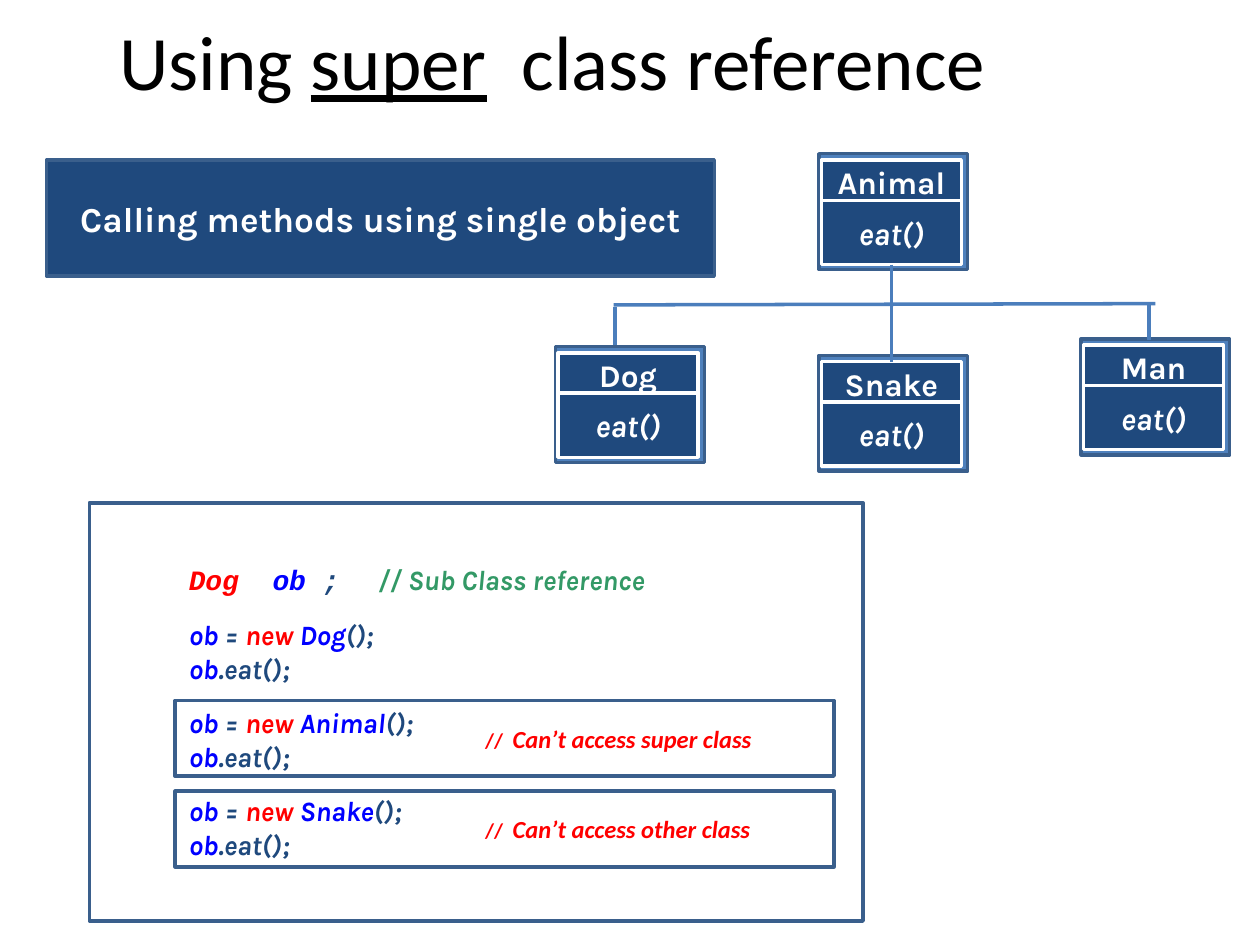
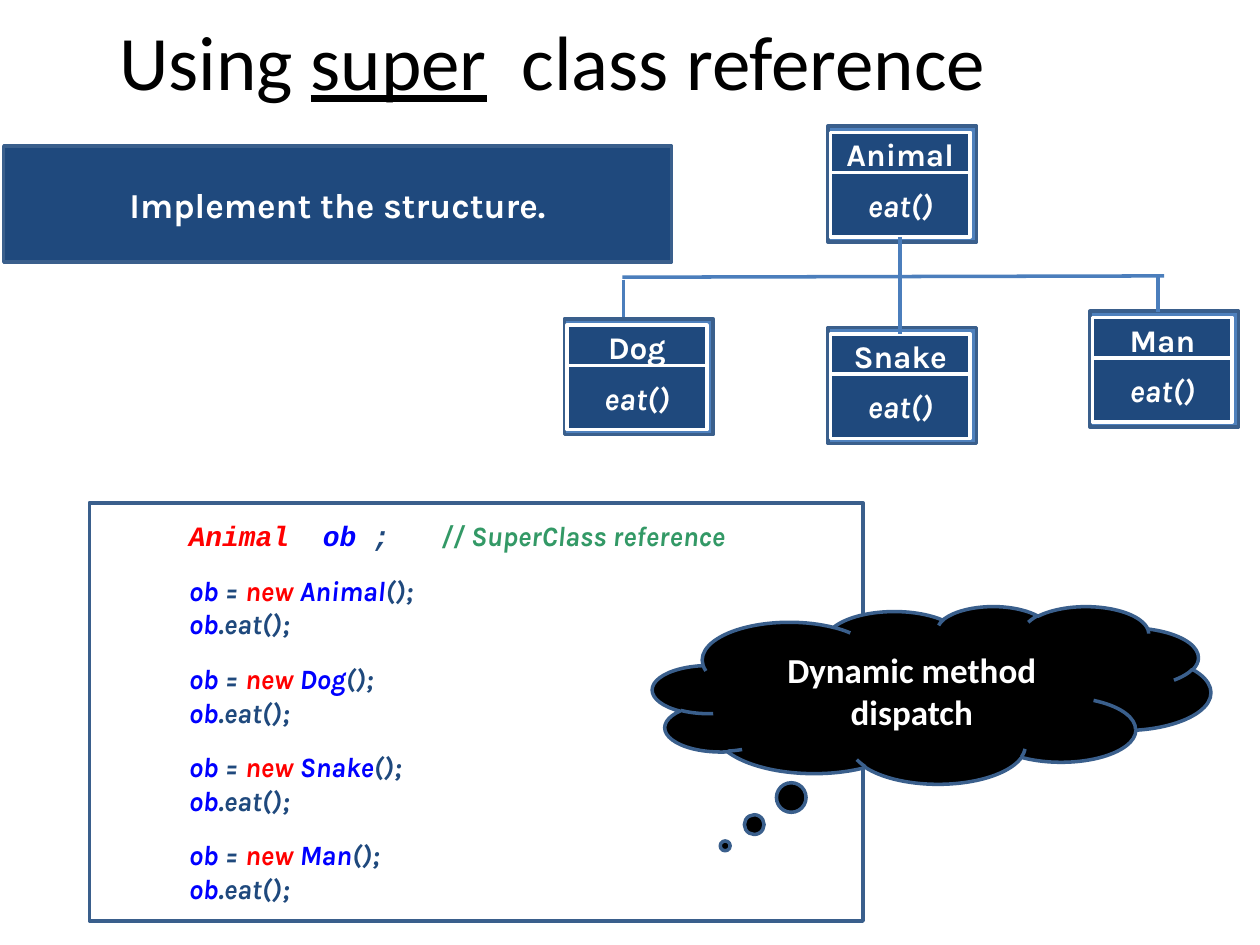
from dataclasses import dataclass
from typing import NamedTuple

from lxml import etree
from pptx import Presentation
from pptx.dml.color import RGBColor
from pptx.enum.shapes import MSO_CONNECTOR, MSO_SHAPE
from pptx.enum.text import MSO_ANCHOR, PP_ALIGN
from pptx.oxml.ns import qn
from pptx.util import Inches, Pt

RECT = MSO_SHAPE.RECTANGLE
CLOUD = MSO_SHAPE.CLOUD_CALLOUT
STRAIGHT = MSO_CONNECTOR.STRAIGHT
CENTER, LEFT = PP_ALIGN.CENTER, PP_ALIGN.LEFT
MIDDLE = MSO_ANCHOR.MIDDLE
TOP_SIDE, BOTTOM_SIDE = 0, 2


@dataclass(frozen=True)
class Theme:
    white: str = "FFFFFF"
    black: str = "000000"
    navy: str = "1F497D"
    frame: str = "4F81BD"
    outline: str = "3A5F8C"
    connector: str = "4B7EBC"
    red: str = "FF0000"
    blue: str = "0000FF"
    green: str = "339966"
    heading_font: str = "Calibri"
    body_font: str = "Karla"
    mono_font: str = "Courier New"
    title_size: int = 44
    banner_size: int = 20
    class_size: int = 18
    code_size: int = 16
    note_size: int = 14
    slash_size: int = 12
    line_width: int = 2


THEME = Theme()


class Box(NamedTuple):
    left: float
    top: float
    width: float
    height: float


class Run(NamedTuple):
    text: str
    size: int
    font: str
    color: str
    bold: bool = True
    italic: bool = False
    underline: bool = False


class Para(NamedTuple):
    runs: list[Run]
    align: PP_ALIGN = CENTER
    before: int = 0
    indent: float = 0
    level: int = 0


class ClassBox(NamedTuple):
    """Class name and its offset from the superclass box."""
    name: str
    dx: float
    dy: float


class Segment(NamedTuple):
    x1: float
    y1: float
    x2: float
    y2: float


TITLE = Box(0, 0, 8.77, 0.95)
CODE_PANEL = Box(0.71, 3.99, 6.14, 3.32)
BANNER_SIZE = (5.3, 0.92)
FRAME_SIZE = (1.18, 0.92)
NOTE_INSETS = (0.24, 0.05, 0.31, 0.05)
CLOUD_INSETS = (0, 0.05, 0, 0.05)

CLASSES = [
    ClassBox("Animal", 0, 0),
    ClassBox("Dog", -2.09, 1.53),
    ClassBox("Snake", 0, 1.6),
    ClassBox("Man", 2.08, 1.47),
]
CROSSBAR = Segment(-1.63, 1.2, 2.67, 1.19)
DOG_DROP = Segment(-1.62, 1.22, -1.62, 1.52)
MAN_DROP = Segment(2.62, 1.18, 2.62, 1.48)


def set_text(sp, paras: list[Para], insets=(0.1, 0.05, 0.1, 0.05)) -> None:
    tf = sp.text_frame
    tf.word_wrap = True
    tf.vertical_anchor = MIDDLE
    for side, inset in zip(("left", "top", "right", "bottom"), insets):
        setattr(tf, f"margin_{side}", Inches(inset))
    for i, para in enumerate(paras):
        p = tf.paragraphs[0] if i == 0 else tf.add_paragraph()
        p.alignment = para.align
        p.level = para.level
        p.space_before = Pt(para.before)
        pPr = p._p.get_or_add_pPr()
        pPr.set("marL", str(Inches(para.indent)))
        pPr.set("indent", "0")
        for run in para.runs:
            r = p.add_run()
            r.text = run.text
            values = {"size": Pt(run.size), "name": run.font, "bold": run.bold,
                      "italic": run.italic, "underline": run.underline}
            for name, value in values.items():
                setattr(r.font, name, value)
            r.font.color.rgb = RGBColor.from_string(run.color)


def add_box(shapes, box: Box, fill: str | None, line: str = THEME.outline,
            kind: MSO_SHAPE = RECT):
    sp = shapes.add_shape(kind, *map(Inches, box))
    sp.shadow.inherit = False
    if fill:
        sp.fill.solid()
        sp.fill.fore_color.rgb = RGBColor.from_string(fill)
    else:
        sp.fill.background()
    sp.line.color.rgb = RGBColor.from_string(line)
    sp.line.width = Pt(THEME.line_width)
    return sp


def add_line(shapes, segment: Segment):
    cxn = shapes.add_connector(STRAIGHT, *map(Inches, segment))
    cxn.line.color.rgb = RGBColor.from_string(THEME.connector)
    cxn.line.width = Pt(THEME.line_width)
    etree.SubElement(cxn._element.spPr, qn("a:effectLst"))
    return cxn


def add_title(slide) -> None:
    words = [("Using ", False), ("super", True), ("  class reference", False)]
    runs = [Run(text, THEME.title_size, THEME.heading_font, THEME.black,
                bold=False, underline=underline) for text, underline in words]
    sp = slide.shapes.add_textbox(*map(Inches, TITLE))
    set_text(sp, [Para(runs)])


def add_class(shapes, name: str, left: float, top: float):
    """Draw one class box; return its name and method cells."""
    add_box(shapes, Box(left, top, *FRAME_SIZE), THEME.frame)
    cells = []
    for text, dy, height, italic in ((name, 0.05, 0.35, False),
                                     ("eat()", 0.37, 0.51, True)):
        sp = add_box(shapes, Box(left + 0.02, top + dy, 1.11, height),
                     THEME.navy, THEME.white)
        set_text(sp, [Para([Run(text, THEME.class_size, THEME.body_font,
                                THEME.white, italic=italic)])])
        cells.append(sp)
    return cells


def add_hierarchy(slide, x: float, y: float) -> None:
    """Draw the class tree with the superclass box at x, y."""
    shapes = slide.shapes.add_group_shape().shapes
    cells = {c.name: add_class(shapes, c.name, x + c.dx, y + c.dy)
             for c in CLASSES}
    for s in (CROSSBAR, DOG_DROP, MAN_DROP):
        add_line(shapes, Segment(x + s.x1, y + s.y1, x + s.x2, y + s.y2))
    trunk = add_line(shapes, Segment(x + 0.57, y + 0.88, x + 0.57, y + 1.65))
    trunk.begin_connect(cells["Animal"][1], BOTTOM_SIDE)
    trunk.end_connect(cells["Snake"][0], TOP_SIDE)


def add_banner(slide, text: str, left: float, top: float) -> None:
    sp = add_box(slide.shapes, Box(left, top, *BANNER_SIZE), THEME.navy)
    set_text(sp, [Para([Run(text, THEME.banner_size, THEME.body_font,
                            THEME.white)])])


def code_line(*tokens: tuple[str, str], font: str = THEME.body_font,
              before: int = 0) -> Para:
    runs = [Run(text, THEME.code_size, font, color, italic=True)
            for text, color in tokens]
    return Para(runs, LEFT, before, indent=0.69, level=1)


def add_code(slide, declared: str, comment: str, created: list[str]) -> None:
    ob = ("ob", THEME.blue)
    declaration = code_line((f"{declared}  ", THEME.red), ob,
                            (" ;\t", THEME.navy), font=THEME.mono_font, before=12)
    declaration.runs.append(Run(comment, THEME.code_size, THEME.body_font,
                                THEME.green, italic=True))
    paras = [declaration]
    for name in created:
        paras += [
            code_line(ob, (" = ", THEME.navy), ("new ", THEME.red),
                      (name, THEME.blue), ("();", THEME.navy), before=12),
            code_line(ob, (".eat();", THEME.navy)),
        ]
    set_text(add_box(slide.shapes, CODE_PANEL, THEME.white), paras)


def add_note(slide, text: str, top: float) -> None:
    """Outline a pair of code lines and say why they fail."""
    sp = add_box(slide.shapes, Box(1.39, top, 5.23, 0.6), None)
    runs = [Run("//  ", THEME.slash_size, THEME.heading_font, THEME.red),
            Run(text, THEME.note_size, THEME.heading_font, THEME.red, italic=True)]
    set_text(sp, [Para(runs, LEFT, indent=2.22)], NOTE_INSETS)


def add_cloud(slide, text: str) -> None:
    sp = add_box(slide.shapes, Box(5.18, 4.81, 4.43, 1.41), THEME.black, kind=CLOUD)
    sp.adjustments[0], sp.adjustments[1] = -0.37, 0.85
    set_text(sp, [Para([Run(text, THEME.banner_size, THEME.heading_font,
                            THEME.white)])], CLOUD_INSETS)


def add_slide(prs, x: float, y: float):
    """Add a slide with the shared title and class tree."""
    slide = prs.slides.add_slide(prs.slide_layouts[6])
    add_title(slide)
    add_hierarchy(slide, x, y)
    return slide


def main() -> None:
    prs = Presentation()
    prs.slide_width, prs.slide_height = Inches(10), Inches(7.5)

    slide = add_slide(prs, 6.5, 1.22)
    add_code(slide, "Dog", "// Sub Class reference", ["Dog", "Animal", "Snake"])
    add_banner(slide, "Calling methods using single object", 0.37, 1.27)
    add_note(slide, "Can’t access super class", 5.56)
    add_note(slide, "Can’t access other class", 6.28)

    slide = add_slide(prs, 6.57, 1)
    add_code(slide, "Animal", "// SuperClass reference",
             [c.name for c in CLASSES])
    add_cloud(slide, "Dynamic method dispatch")
    add_banner(slide, "Implement the structure.", 0.03, 1.16)

    prs.save("out.pptx")


if __name__ == "__main__":
    main()
